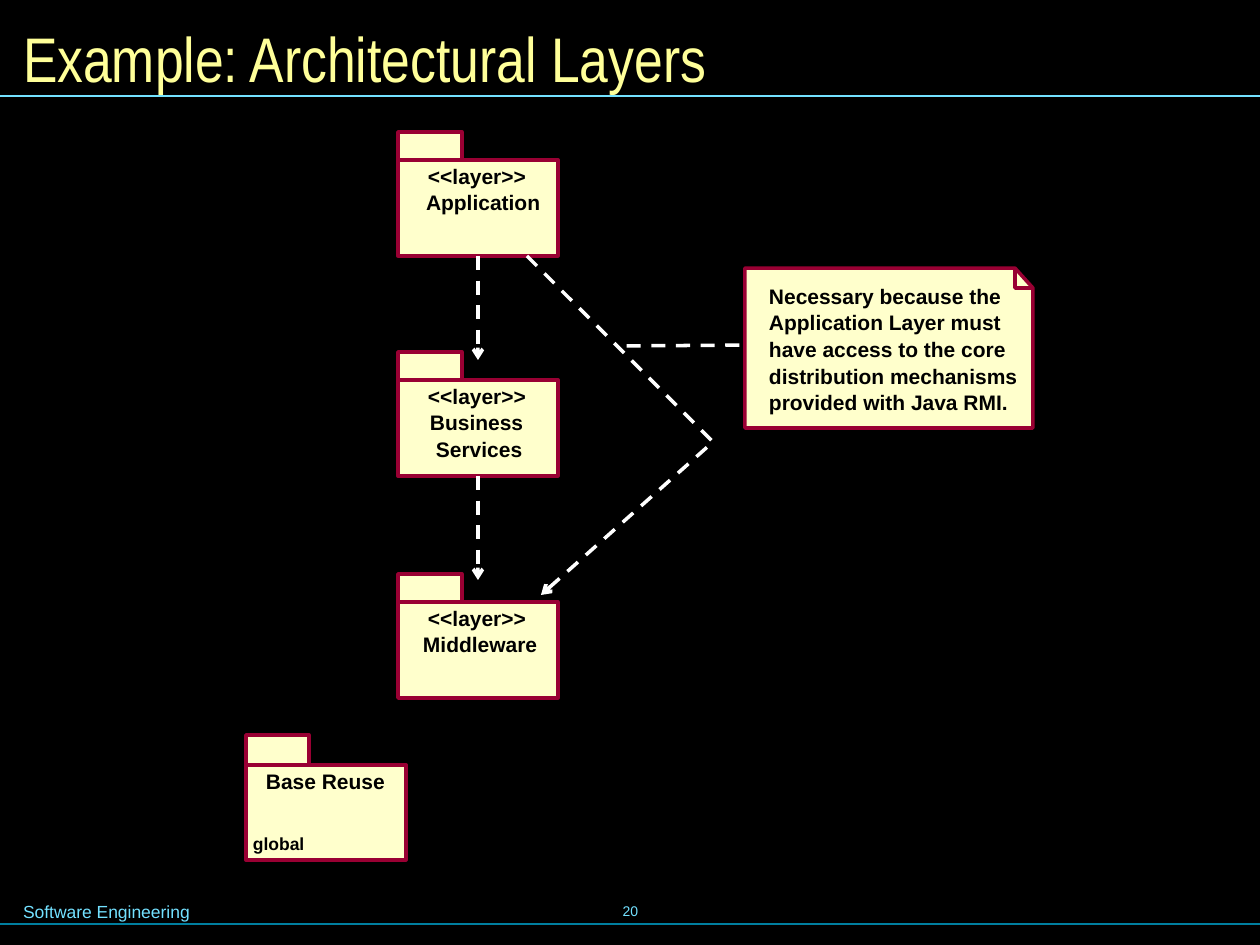
from pptx import Presentation
from pptx.dml.color import RGBColor as RGB
from pptx.enum.dml import MSO_LINE as DASH
from pptx.enum.shapes import MSO_CONNECTOR as CONN, MSO_SHAPE as SHAPE
from pptx.enum.text import MSO_ANCHOR as ANCHOR, MSO_AUTO_SIZE as AUTO, PP_ALIGN as ALIGN
from pptx.oxml.ns import qn
from pptx.util import Emu, Pt
from lxml.etree import SubElement as Sub

INK = dict(back="000000", text="000000", title="FFFF99", foot="73E1FF",
           base="007E9F", fill="FFFFCC", edge="990033", link="FFFFFF")

TITLE = "Example: Architectural Layers"
FOOT, PAGE = "Software Engineering", "20"
RULES = [("base", 1265, 924), ("foot", 1260, 96)]

LAYER = ("<<layer>>", 428, 4, 98, 12)
PACKS = {
    "app": (398, 132, 64, 28, 96, [LAYER, ("Application", 426, 30, 115, 12)]),
    "biz": (398, 352, 64, 28, 96, [LAYER, ("Business", 430, 30, 100, 12),
                                   ("Services", 436, 57, 87, 12)]),
    "mid": (398, 574, 64, 28, 96, [LAYER, ("Middleware", 423, 30, 115, 12)]),
    "reuse": (246, 735, 63, 30, 95, [("Base Reuse", 266, 4, 120, 12),
                                     ("global", 253, 68, 52, 10)]),
}
WIDE = 160
DROPS = ["app", "biz"]
REACH = 104

NOTE = ["Necessary because the", "Application Layer must", "have access to the core",
        "distribution mechanisms", "provided with Java RMI."]
PAGE_EDGE = [(745, 268), (1015, 268), (1033, 288), (1033, 428), (745, 428)]
FOLD = [(1015, 268), (1015, 288), (1033, 288)]
BYPASS = [(527, 256), (713, 442), (541, 595)]

UNIT = 914400 / 126


def px(*nums):
    return [Emu(round(n * UNIT)) for n in nums]


def tint(name):
    return RGB.from_string(INK[name])


def write(box, text, size=12, color="text", bold=False, font="Arial",
          align=ALIGN.LEFT, anchor=ANCHOR.TOP, inset=(0, 0), gap=None):
    frame = box.text_frame
    frame.auto_size = AUTO.NONE
    frame.word_wrap = True
    frame.vertical_anchor = anchor
    frame.margin_left = frame.margin_right = px(inset[0])[0]
    frame.margin_top = frame.margin_bottom = px(inset[1])[0]
    frame.text = text
    para = frame.paragraphs[0]
    para.alignment = align
    if gap:
        para.line_spacing = Pt(gap)
    face = para.runs[0].font
    for run in para.runs:
        face = run.font
        face.name, face.size, face.bold = font, Pt(size), bold
        face.color.rgb = tint(color)


def label(x, y, w, h, text, **style):
    write(shapes.add_textbox(*px(x, y, w, h)), text, **style)


def stroke(item, color, width=2, dash=False, arrow=False):
    item.line.color.rgb = tint(color)
    item.line.width = Pt(width)
    if dash:
        item.line.dash_style = DASH.DASH
    if arrow:
        Sub(item.line._get_or_add_ln(), qn("a:tailEnd"), type="arrow")


def link(x1, y1, x2, y2, color, **style):
    line = shapes.add_connector(CONN.STRAIGHT, *px(x1, y1, x2, y2))
    stroke(line, color, **style)
    Sub(line._element.spPr, qn("a:effectLst"))
    return line


def paint(item, fill):
    item.shadow.inherit = False
    if fill:
        item.fill.solid()
        item.fill.fore_color.rgb = tint("fill")
    else:
        item.fill.background()


def box(x, y, w, h):
    item = shapes.add_shape(SHAPE.RECTANGLE, *px(x, y, w, h))
    paint(item, True)
    stroke(item, "edge")
    return item


def trace(points, color, close=False, **style):
    pen = shapes.build_freeform(*points[0], scale=UNIT)
    pen.add_line_segments(points[1:], close=close)
    item = pen.convert_to_shape()
    paint(item, close)
    stroke(item, color, **style)


deck = Presentation()
deck.slide_width, deck.slide_height = px(1260, 945)
slide = deck.slides.add_slide(deck.slide_layouts[5])
shapes = slide.shapes
slide.background.fill.solid()
slide.background.fill.fore_color.rgb = tint("back")

head = shapes.title
head.left, head.top, head.width, head.height = px(10, 10, 1240, 95)
write(head, TITLE, size=36, color="title", font="Arial Narrow",
      anchor=ANCHOR.MIDDLE, inset=(13, 6))
for color, end, y in RULES:
    link(0, y, end, y, color, width=0.75)
label(10, 895, 372, 34, FOOT, size=10, color="foot", inset=(13, 6))
label(431, 879, 399, 63, PAGE, size=8, color="foot", align=ALIGN.CENTER,
      anchor=ANCHOR.MIDDLE, inset=(13, 6))

link(764, 345, 619, 346, "link", dash=True)

bodies = {}
for name, (x, y, tab, rise, high, words) in PACKS.items():
    top = y + rise
    bodies[name] = box(x, top, WIDE, high)
    box(x, y, tab, rise)
    for text, left, drop, w, size in words:
        label(left, top + drop, w + 4, 25, text, size=size, bold=True)

for name in DROPS:
    x, y, tab, rise, high, words = PACKS[name]
    mid, foot = x + WIDE // 2, y + rise + high
    line = link(mid, foot, mid, foot + REACH, "link", dash=True, arrow=True)
    line.begin_connect(bodies[name], 2)

trace(BYPASS, "link", dash=True, arrow=True)
trace(PAGE_EDGE, "edge", close=True)
trace(FOLD, "edge")
label(769, 282, 260, 134, "\v".join(NOTE), bold=True, gap=15.2)

deck.save("out.pptx")
